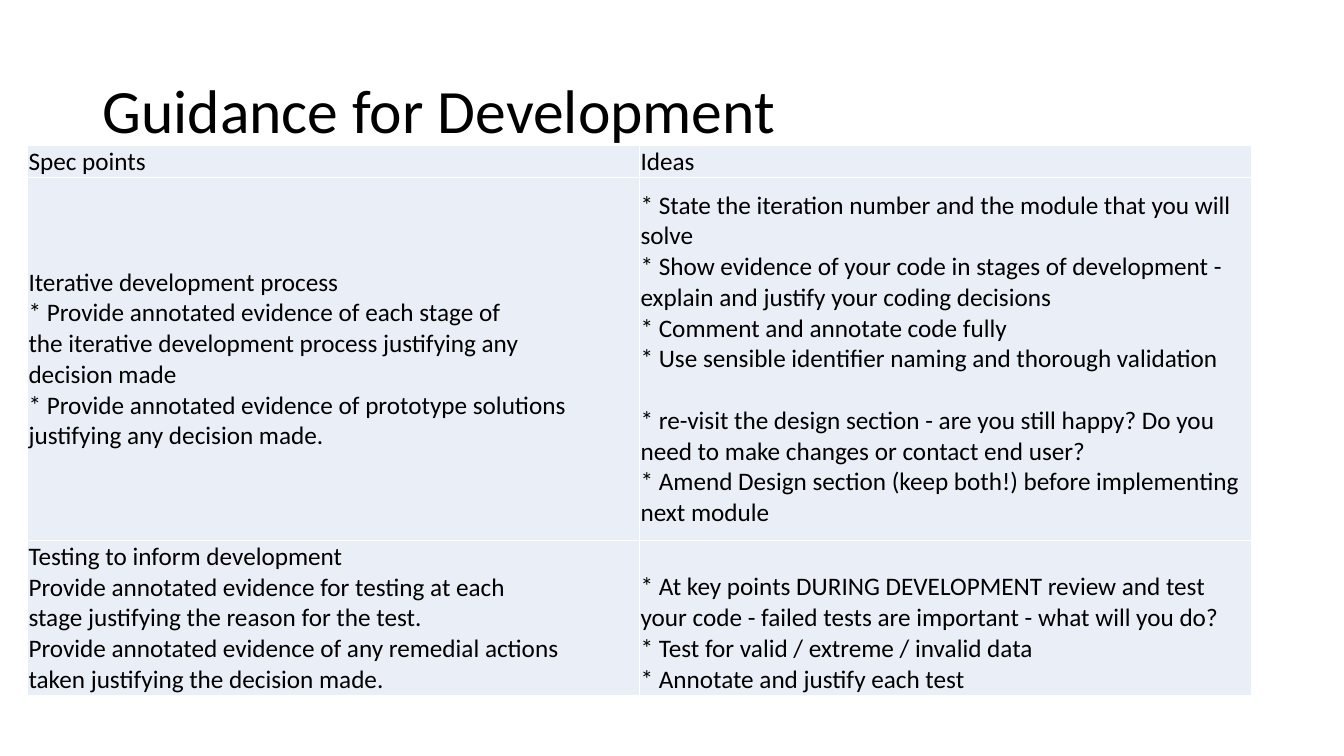
from pptx import Presentation
from pptx.dml.color import RGBColor as RGB
from pptx.enum.text import MSO_ANCHOR as Anchor, PP_ALIGN as Align
from pptx.oxml import parse_xml as parse
from pptx.oxml.ns import nsdecls
from pptx.util import Pt

STAGES = [
    "Iterative development process",
    "* Provide annotated evidence of each stage of\n"
    "the iterative development process justifying any\n"
    "decision made",
    "* Provide annotated evidence of prototype solutions\n"
    "justifying any decision made.",
]
IDEAS = [
    "* State the iteration number and the module that you will solve",
    "* Show evidence of your code in stages of development - explain and justify your coding decisions",
    "* Comment and annotate code fully",
    "* Use sensible identifier naming and thorough validation",
    "* re-visit the design section - are you still happy? Do you need to make changes or contact end user?",
    "* Amend Design section (keep both!) before implementing next module",
]
TESTS = [
    "Testing to inform development",
    "Provide annotated evidence for testing at each\n"
    "stage justifying the reason for the test.",
    "Provide annotated evidence of any remedial actions\n"
    "taken justifying the decision made.",
]
CHECKS = [
    "* At key points DURING DEVELOPMENT review and test your code - failed tests are important - what will you do?",
    "* Test for valid / extreme / invalid data",
    "* Annotate and justify each test",
]
ROWS = [
    (["Spec points"], ["Ideas"]),
    (STAGES, IDEAS),
    (TESTS, CHECKS),
]


def color(code):
    return RGB.from_string(code)


def write(para, text, size=18, font="Calibri", ink="000000", lead=1.0, before=0):
    para.alignment = Align.LEFT
    para.line_spacing = lead
    para.space_before = Pt(before)
    for i, line in enumerate(text.split("\n")):
        if i:
            para.add_line_break()
        run = para.add_run()
        run.text = line
        run.font.size = Pt(size)
        run.font.name = font
        run.font.color.rgb = color(ink)


class Deck:
    fill = "EAEFF7"
    edge = "FFFFFF"
    inset = 0.7
    gap = 22

    def __init__(self):
        self.file = Presentation()
        self.file.slide_width, self.file.slide_height = Pt(960), Pt(540)
        self.slide = self.file.slides.add_slide(self.file.slide_layouts[5])

    def title(self, text, x, y, w, h):
        box = self.slide.shapes.title
        box.left, box.top, box.width, box.height = Pt(x), Pt(y), Pt(w), Pt(h)
        frame = box.text_frame
        frame.word_wrap = True
        frame.vertical_anchor = Anchor.MIDDLE
        write(frame.paragraphs[0], text, size=44, lead=0.9)

    def border(self, cell):
        props = cell._tc.get_or_add_tcPr()
        for side in "LRTB":
            props.append(parse(
                f'<a:ln{side} {nsdecls("a")} w="{Pt(1)}"><a:solidFill>'
                f'<a:srgbClr val="{self.edge}"/></a:solidFill></a:ln{side}>'))

    def cell(self, cell, lines, anchor):
        self.border(cell)
        cell.fill.solid()
        cell.fill.fore_color.rgb = color(self.fill)
        cell.vertical_anchor = anchor
        cell.margin_left = cell.margin_right = Pt(self.inset)
        cell.margin_top = Pt(self.gap if lines is CHECKS else self.inset)
        cell.margin_bottom = 0
        frame = cell.text_frame
        for i, line in enumerate(lines):
            para = frame.add_paragraph() if i else frame.paragraphs[0]
            write(para, line, before=self.gap if line.startswith("* re-visit") else 0)

    def table(self, rows, x, y, wide, highs):
        count = len(rows[0])
        grid = self.slide.shapes.add_table(
            len(rows), count, Pt(x), Pt(y), Pt(wide * count), Pt(sum(highs))).table
        grid.first_row = grid.horz_banding = False
        for r, (row, high) in enumerate(zip(rows, highs)):
            grid.rows[r].height = Pt(high)
            for c, lines in enumerate(row):
                self.cell(grid.cell(r, c), lines, Anchor.MIDDLE if r else Anchor.BOTTOM)


def main():
    deck = Deck()
    deck.title("Guidance for Development", 66, 28.8, 828, 104.4)
    deck.table(ROWS, 19.7, 104, 437.2, [17.3, 259.2, 110.9])
    deck.file.save("out.pptx")


if __name__ == "__main__":
    main()
